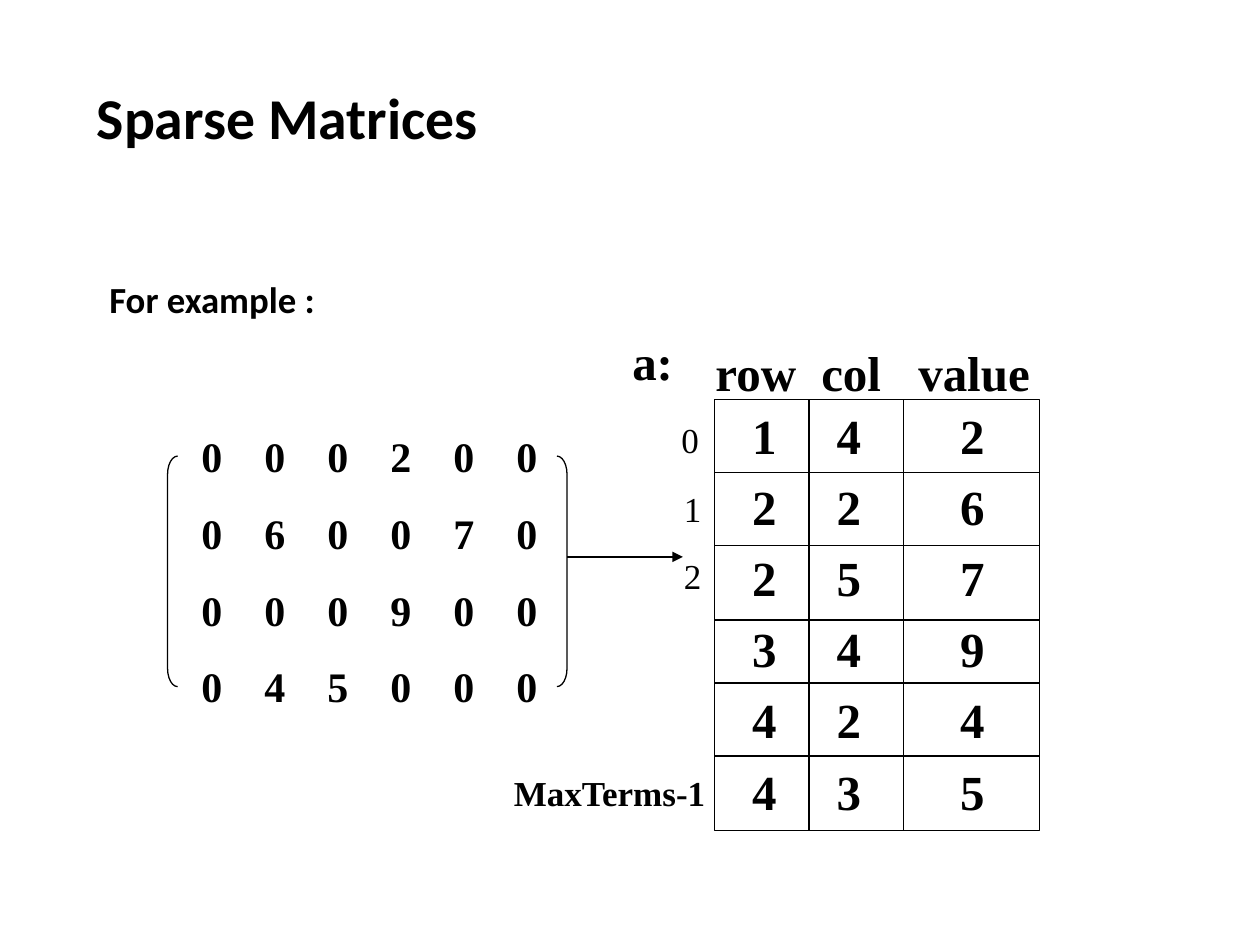
from dataclasses import dataclass
from itertools import accumulate

import pptx
import pptx.dml.color
import pptx.enum.shapes
import pptx.enum.text
import pptx.oxml.ns
import pptx.util
from pptx.util import Inches

BLACK = "000000"
SERIF = "Times New Roman"
LINE_PT = 0.74
SHAPES = pptx.enum.shapes.MSO_SHAPE
TOP = pptx.enum.text.MSO_ANCHOR.TOP
MIDDLE = pptx.enum.text.MSO_ANCHOR.MIDDLE
LEFT = pptx.enum.text.PP_ALIGN.LEFT


@dataclass
class Label:
    """A text box; tabs in a line move to the given stops."""
    lines: list[str]
    left: float
    top: float
    width: float
    height: float
    size: float
    font: str = SERIF
    bold: bool = True
    wrap: bool = True
    middle: bool = False
    line_spacing: float = 1.0
    space_before: float = 0
    tabs: tuple[float, ...] = ()


LABELS = [
    Label(["Sparse Matrices"], 0.67, 0.33, 8.5, 1.25, 33, "Calibri",
          middle=True, line_spacing=0.9),
    Label(["For example :"], 0.77, 2.19, 8.43, 0.45, 21, "Calibri",
          line_spacing=0.9),
    Label(["row\tcol\tvalue"], 5.58, 2.67, 3.25, 0.57, 28, tabs=(0.84, 1.61)),
    Label(["a:"], 4.92, 2.58, 0.53, 0.57, 28, wrap=False),
    Label(["MaxTerms-1"], 3.98, 6.07, 1.75, 0.44, 20, wrap=False),
    Label(["0"], 5.31, 3.27, 0.34, 0.44, 20, bold=False, wrap=False),
    Label(["1"], 5.33, 3.82, 0.34, 0.44, 20, bold=False, wrap=False),
    Label(["2"], 5.33, 4.35, 0.34, 0.44, 20, bold=False, wrap=False),
]
MATRIX = ["000200", "060070", "000900", "045000"]
TRIPLES = ["142", "226", "257", "349", "424", "435"]
COL_WIDTHS = [0.75, 0.75, 1.08]
ROW_HEIGHTS = [0.58, 0.58, 0.59, 0.5, 0.58, 0.59]


def rgb(color: str) -> pptx.dml.color.RGBColor:
    """Turn a hex string into a colour."""
    return pptx.dml.color.RGBColor.from_string(color)


def set_line(line) -> None:
    """Make a line thin and black."""
    line.color.rgb = rgb(BLACK)
    line.width = pptx.util.Pt(LINE_PT)


def set_tabs(p, stops: tuple[float, ...]) -> None:
    """Give a paragraph left tab stops, in inches."""
    p_pr = p._p.get_or_add_pPr()
    tabs = p_pr.makeelement(pptx.oxml.ns.qn("a:tabLst"), {})
    for stop in stops:
        tabs.append(tabs.makeelement(pptx.oxml.ns.qn("a:tab"),
                                     {"pos": str(Inches(stop)), "algn": "l"}))
    p_pr.append(tabs)


def fill_text(tf, label: Label) -> None:
    """Write the lines of a label into a text frame."""
    tf.word_wrap = label.wrap
    tf.vertical_anchor = MIDDLE if label.middle else TOP
    for i, line in enumerate(label.lines):
        p = tf.add_paragraph() if i else tf.paragraphs[0]
        p.alignment = LEFT
        p.line_spacing = label.line_spacing
        p.space_before = pptx.util.Pt(label.space_before)
        if label.tabs:
            set_tabs(p, label.tabs)
        r = p.add_run()
        r.text = line
        r.font.size = pptx.util.Pt(label.size)
        r.font.name = label.font
        r.font.bold = label.bold
        r.font.color.rgb = rgb(BLACK)


def add_label(s, label: Label) -> None:
    """Draw one text box."""
    sp = s.shapes.add_textbox(Inches(label.left), Inches(label.top),
                              Inches(label.width), Inches(label.height))
    fill_text(sp.text_frame, label)


def add_outline(s, preset, left: float, top: float, width: float, height: float):
    """Draw an unfilled preset shape and return it."""
    sp = s.shapes.add_shape(preset, Inches(left), Inches(top),
                            Inches(width), Inches(height))
    sp.shadow.inherit = False
    sp.fill.background()
    set_line(sp.line)
    return sp


def add_line(s, x1: float, y1: float, x2: float, y2: float,
             arrow: bool = False) -> None:
    """Draw a straight line, with an arrowhead at its end if asked."""
    cx = s.shapes.add_connector(pptx.enum.shapes.MSO_CONNECTOR.STRAIGHT,
                                Inches(x1), Inches(y1), Inches(x2), Inches(y2))
    set_line(cx.line)
    if arrow:
        ln = cx.line._get_or_add_ln()
        ln.append(ln.makeelement(pptx.oxml.ns.qn("a:tailEnd"),
                                 {"type": "triangle"}))
    sp_pr = cx._element.spPr
    sp_pr.append(sp_pr.makeelement(pptx.oxml.ns.qn("a:effectLst"), {}))


def add_triples(s, left: float, top: float) -> None:
    """Draw the ruled box of row, column and value triples."""
    width, height = sum(COL_WIDTHS), sum(ROW_HEIGHTS)
    sp = add_outline(s, SHAPES.RECTANGLE, left, top, width, height)
    sp.text_frame.margin_left = Inches(0.3)
    fill_text(sp.text_frame, Label(["\t".join(row) for row in TRIPLES],
                                   left, top, width, height, 28,
                                   space_before=7, tabs=(0.67, 1.65)))
    for x in accumulate(COL_WIDTHS[:-1]):
        add_line(s, left + x, top, left + x, top + height)
    for y in accumulate(ROW_HEIGHTS[:-1]):
        add_line(s, left, top + y, left + width, top + y)


def main() -> None:
    """Build and save the slide."""
    prs = pptx.Presentation()
    prs.slide_width, prs.slide_height = Inches(10), Inches(7.5)
    s = prs.slides.add_slide(prs.slide_layouts[6])
    add_line(s, 4.5, 4.42, 5.42, 4.42, arrow=True)
    add_triples(s, 5.67, 3.17)
    for label in LABELS:
        add_label(s, label)
    matrix_tabs = tuple(0.5 * i for i in range(1, len(MATRIX[0])))
    add_label(s, Label(["\t".join(row) for row in MATRIX], 1.5, 3.37, 2.92, 2.33,
                       24, space_before=15, tabs=matrix_tabs))
    for preset, left in ((SHAPES.LEFT_BRACKET, 1.33), (SHAPES.RIGHT_BRACKET, 4.42)):
        add_outline(s, preset, left, 3.62, 0.08, 1.83).adjustments[0] = 1.8
    prs.save("out.pptx")


main()
